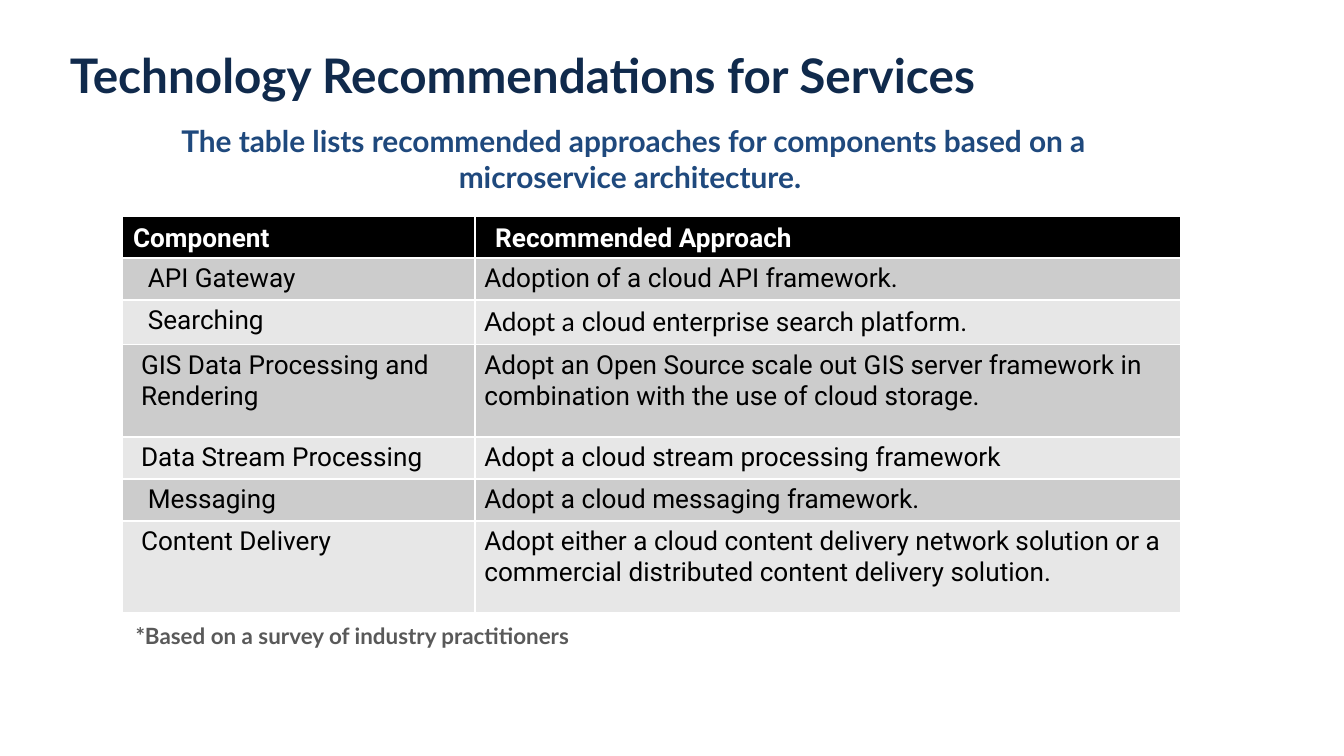
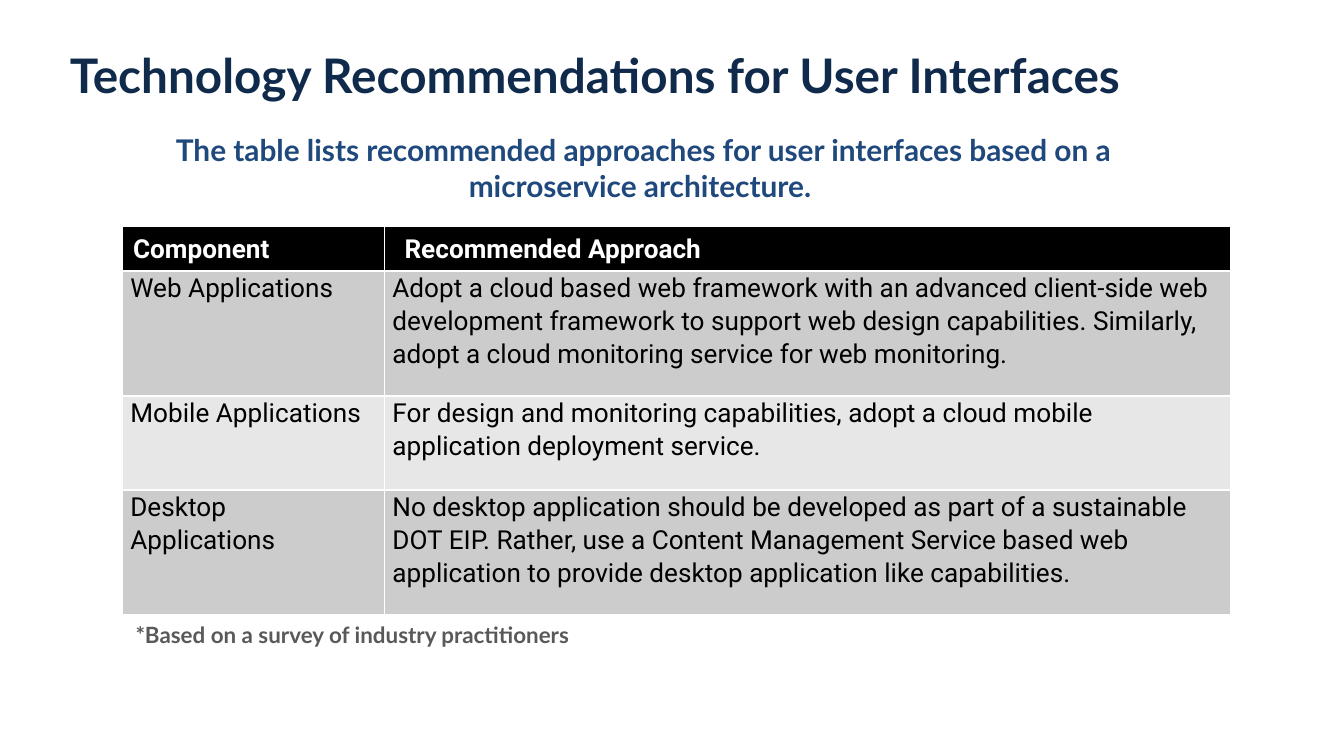
import pptx
import pptx.util
import pptx.dml.color
import pptx.enum.text
import pptx.oxml
import pptx.oxml.ns
import lxml.etree

# Shared look: a 16:9 slide on a grid of 100 columns, rows of the same size
WIDE = pptx.util.Inches(10)
HIGH = WIDE * 9 // 16
UNIT = WIDE / 100
HEX = {"navy": "102A4C", "blue": "1F497D", "gray": "595959", "black": "000000",
       "white": "FFFFFF", "dark": "CCCCCC", "light": "E7E7E7"}
ALIGN = pptx.enum.text.PP_ALIGN
ANCHOR = pptx.enum.text.MSO_ANCHOR
FIT = pptx.enum.text.MSO_AUTO_SIZE
SIDES = ("left", "top", "right", "bottom")

# Formats: font, then colour
TITLE = ({"name": "Lato", "size": pptx.util.Pt(25.5), "bold": True}, "navy")
INTRO = ({"name": "Lato", "size": pptx.util.Pt(16), "bold": True}, "blue")
NOTE = ({"name": "Lato", "size": pptx.util.Pt(12), "bold": True}, "gray")
HEAD = ({"name": "Roboto", "size": pptx.util.Pt(14), "bold": True}, "white")
BODY = ({"name": "Roboto", "size": pptx.util.Pt(14), "bold": False}, "black")
LEAD = ({"name": "Lato", "size": pptx.util.Pt(14), "bold": False}, "black")


def grid(*cells):
    return [round(cell * UNIT) for cell in cells]


def apply(item, values):
    for name, value in values.items():
        setattr(item, name, value)


def tint(name):
    return pptx.dml.color.RGBColor.from_string(HEX[name])


def write(para, text, look):
    font, color = look
    run = para.add_run()
    run.text = text
    apply(run.font, font)
    run.font.color.rgb = tint(color)


def add_title(slide, text):
    title = slide.shapes.title
    apply(title, dict(zip(("left", "top", "width", "height"), grid(4.2, 2.9, 91.4, 4.3))))
    apply(title.text_frame, {"vertical_anchor": ANCHOR.TOP, "auto_size": FIT.NONE})
    para = title.text_frame.paragraphs[0]
    para.alignment = ALIGN.LEFT
    write(para, text, TITLE)


def add_text(slide, area, text, look, align=ALIGN.LEFT, wrap=True):
    frame = slide.shapes.add_textbox(*grid(*area)).text_frame
    apply(frame, {"word_wrap": wrap, "auto_size": FIT.SHAPE_TO_FIT_TEXT})
    para = frame.paragraphs[0]
    para.alignment = align
    write(para, text, look)


def add_edges(cell):
    """Thin white lines on all four sides."""
    props = cell._tc.get_or_add_tcPr()
    for spot, side in enumerate("LRTB"):
        line = pptx.oxml.parse_xml(
            f'<a:ln{side} {pptx.oxml.ns.nsdecls("a")} w="{pptx.util.Pt(1)}">'
            f'<a:solidFill><a:srgbClr val="{HEX["white"]}"/></a:solidFill></a:ln{side}>')
        props.insert(spot, line)


def fill_cell(cell, runs, fill, inset, space=1, indent=(0, 0), anchor=ANCHOR.TOP):
    apply(cell, {f"margin_{side}": gap for side, gap in zip(SIDES, grid(*inset))})
    cell.vertical_anchor = anchor
    cell.fill.solid()
    cell.fill.fore_color.rgb = tint(fill)
    add_edges(cell)
    para = cell.text_frame.paragraphs[0]
    para.line_spacing = space
    for name, value in zip(("marL", "indent"), grid(*indent)):
        para._p.get_or_add_pPr().set(name, str(value))
    for text, look in runs:
        write(para, text, look)


def add_table(slide, spot, cols, rows, items, inset, space):
    """Each item is a name, its indent and the runs of its approach."""
    area = grid(*spot, sum(cols), sum(rows))
    table = slide.shapes.add_table(len(rows), len(cols), *area).table
    for col, width in zip(table.columns, grid(*cols)):
        col.width = width
    for row, height in zip(table.rows, grid(*rows)):
        row.height = height
    # Heading row
    heads = (("Component", 0.1, (0, 0.7)), ("Recommended Approach", 1.5, (0, 0)))
    for col, (text, left, indent) in enumerate(heads):
        fill_cell(table.cell(0, col), [(text, HEAD)], "black", (left, 0, 0.1, 0),
                  1.07, indent, ANCHOR.MIDDLE)
    # Striped rows
    for row, (name, indent, runs) in enumerate(items, 1):
        fill = "dark" if row % 2 else "light"
        fill_cell(table.cell(row, 0), [(name, BODY)], fill, inset, space, indent)
        fill_cell(table.cell(row, 1), runs, fill, inset, space)


def add_slide(deck, title, intro, area, foot, **table):
    slide = deck.slides.add_slide(deck.slide_layouts[5])
    add_title(slide, title)
    add_text(slide, area, intro, INTRO, ALIGN.CENTER)
    add_text(slide, (9.1, foot, 37.2, 3), "*Based on a survey of industry practitioners",
             NOTE, wrap=False)
    add_table(slide, **table)


def plain(text):
    return [(text, BODY)]


# Content
SERVICES = [
    ("API Gateway", (1.2, 0), plain("Adoption of a cloud API framework.")),
    ("Searching", (1.2, 0),
     [("Adopt a ", LEAD), ("cloud enterprise search platform.", BODY)]),
    ("GIS Data Processing and Rendering", (0.7, 0),
     plain("Adopt an Open Source scale out GIS server framework in combination "
           "with the use of cloud storage.")),
    ("Data Stream Processing", (1.2, -0.5),
     plain("Adopt a cloud stream processing framework")),
    ("Messaging", (0.7, 0.5), plain("Adopt a cloud messaging framework.")),
    ("Content Delivery", (1.2, -0.5),
     plain("Adopt either a cloud content delivery network solution or a commercial "
           "distributed content delivery solution.")),
]
SCREENS = [
    ("Web Applications", (0, 0),
     plain("Adopt a cloud based web framework with an advanced client-side web "
           "development framework to support web design capabilities. Similarly, "
           "adopt a cloud monitoring service for web monitoring.")),
    ("Mobile Applications", (0, 0),
     plain("For design and monitoring capabilities, adopt a cloud mobile "
           "application deployment service.")),
    ("Desktop Applications", (0, 0),
     plain("No desktop application should be developed as part of a sustainable "
           "DOT EIP. Rather, use a Content Management Service based web "
           "application to provide desktop application like capabilities.")),
]


def main():
    deck = pptx.Presentation()
    apply(deck, {"slide_width": WIDE, "slide_height": HIGH})
    intro = "The table lists recommended approaches for {} based on a microservice architecture. "
    add_slide(deck, "Technology Recommendations for Services", intro.format("components"),
              (6.25, 8.65, 81.8, 6.4), 45.8, spot=(9.1, 16.1), cols=(26.25, 52.5),
              rows=(3.1, 3.08, 3.3, 6.87, 3.08, 3.08, 6.87), items=SERVICES,
              inset=(0.7, 0.4, 0.1, 0.4), space=1)
    add_slide(deck, "Technology Recommendations for User Interfaces",
              intro.format("user interfaces"),
              (6.05, 9.3, 83.7, 6.4), 45.7, spot=(9.1, 16.85), cols=(19.5, 63),
              rows=(3.3, 9.3, 7, 9.3), items=SCREENS,
              inset=(0.6, 0, 0.6, 0), space=1.07)
    deck.save("out.pptx")


if __name__ == "__main__":
    main()
